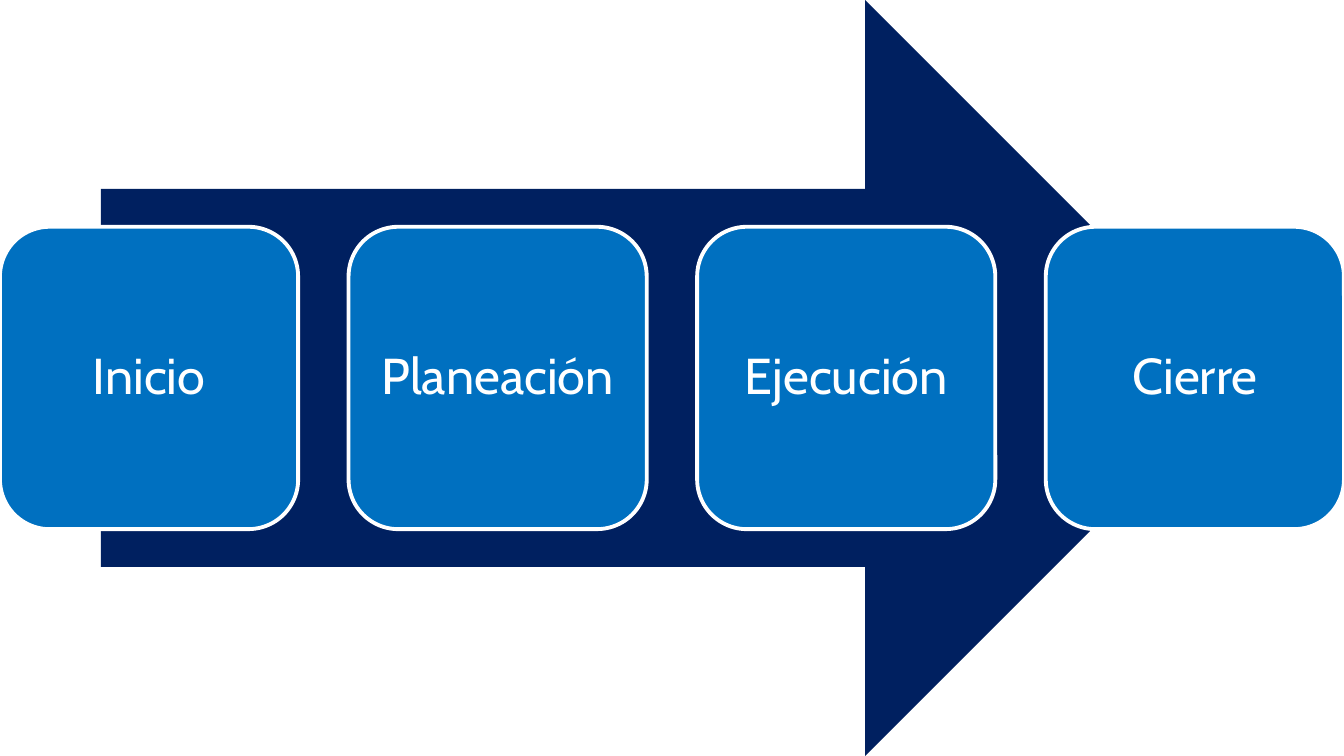
from pptx import Presentation
from pptx.dml.color import RGBColor
from pptx.enum.shapes import MSO_SHAPE
from pptx.enum.text import MSO_ANCHOR, PP_ALIGN
from pptx.util import Pt

PHASES = ["Inicio", "Planeación", "Ejecución", "Cierre"]
NAVY, BLUE, WHITE = "002060", "0070C0", "FFFFFF"
FONT = "Cabin"
PX = 9525
SLIDE_W, SLIDE_H = 1280, 720
ARROW_X = 96
BOX_W, BOX_H, INSET = 284, 288, 14


def color(value):
    return RGBColor.from_string(value)


def add_block(s, kind, x, y, w, h, fill):
    sp = s.shapes.add_shape(kind, x * PX, y * PX, w * PX, h * PX)
    sp.shadow.inherit = False
    sp.fill.solid()
    sp.fill.fore_color.rgb = color(fill)
    sp.line.fill.background()
    return sp


def add_phase(s, name, x, y):
    sp = add_block(s, MSO_SHAPE.ROUNDED_RECTANGLE, x, y, BOX_W, BOX_H, BLUE)
    sp.line.color.rgb = color(WHITE)
    sp.line.width = Pt(2.75)
    tf = sp.text_frame
    tf.word_wrap = True
    tf.vertical_anchor = MSO_ANCHOR.MIDDLE
    tf.margin_left = tf.margin_right = INSET * PX
    tf.margin_top = tf.margin_bottom = INSET * PX
    p = tf.paragraphs[0]
    p.alignment = PP_ALIGN.CENTER
    p.line_spacing = 0.9
    r = p.add_run()
    r.text = name
    r.font.name = FONT
    r.font.size = Pt(36)
    r.font.color.rgb = color(WHITE)


def main():
    prs = Presentation()
    prs.slide_width, prs.slide_height = SLIDE_W * PX, SLIDE_H * PX
    s = prs.slides.add_slide(prs.slide_layouts[6])
    add_block(s, MSO_SHAPE.RIGHT_ARROW, ARROW_X, 0,
              SLIDE_W - 2 * ARROW_X, SLIDE_H, NAVY)
    pitch = (SLIDE_W - BOX_W) // (len(PHASES) - 1)
    top = (SLIDE_H - BOX_H) // 2
    for i, name in enumerate(PHASES):
        add_phase(s, name, i * pitch, top)
    prs.save("out.pptx")


if __name__ == "__main__":
    main()
